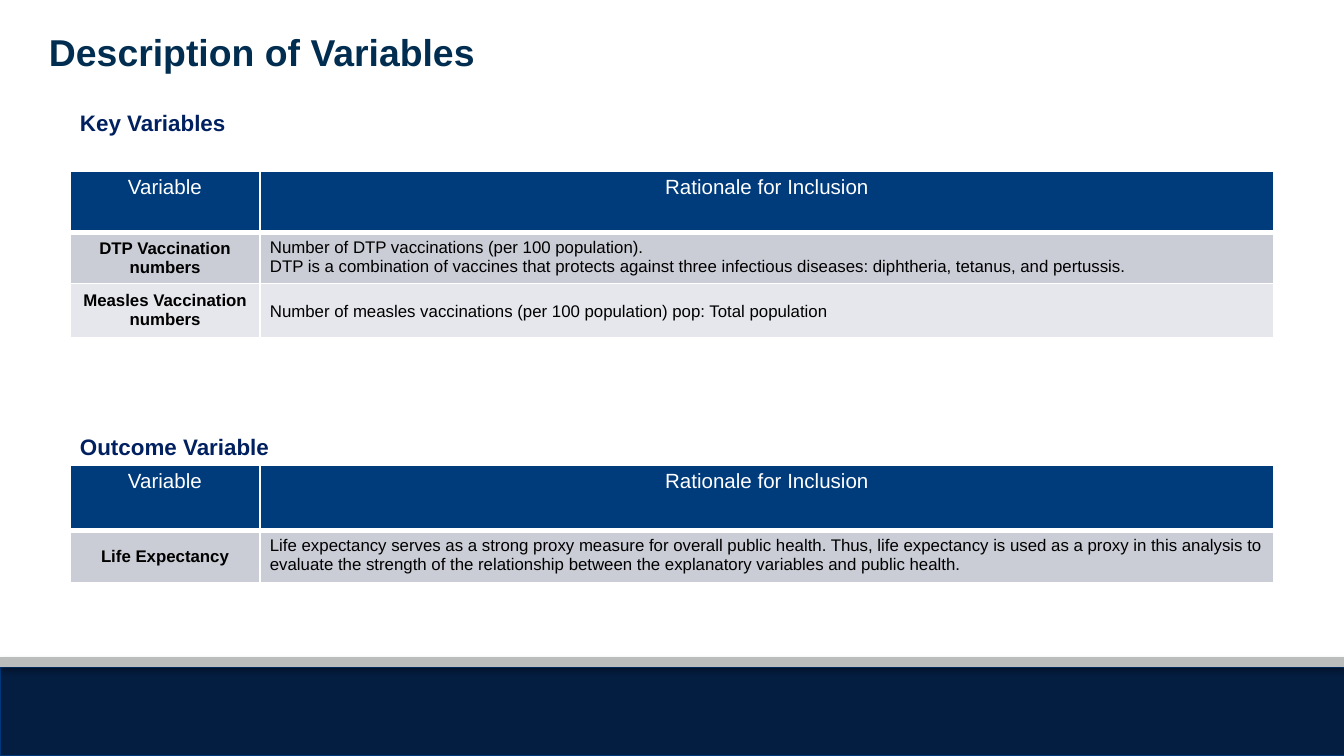
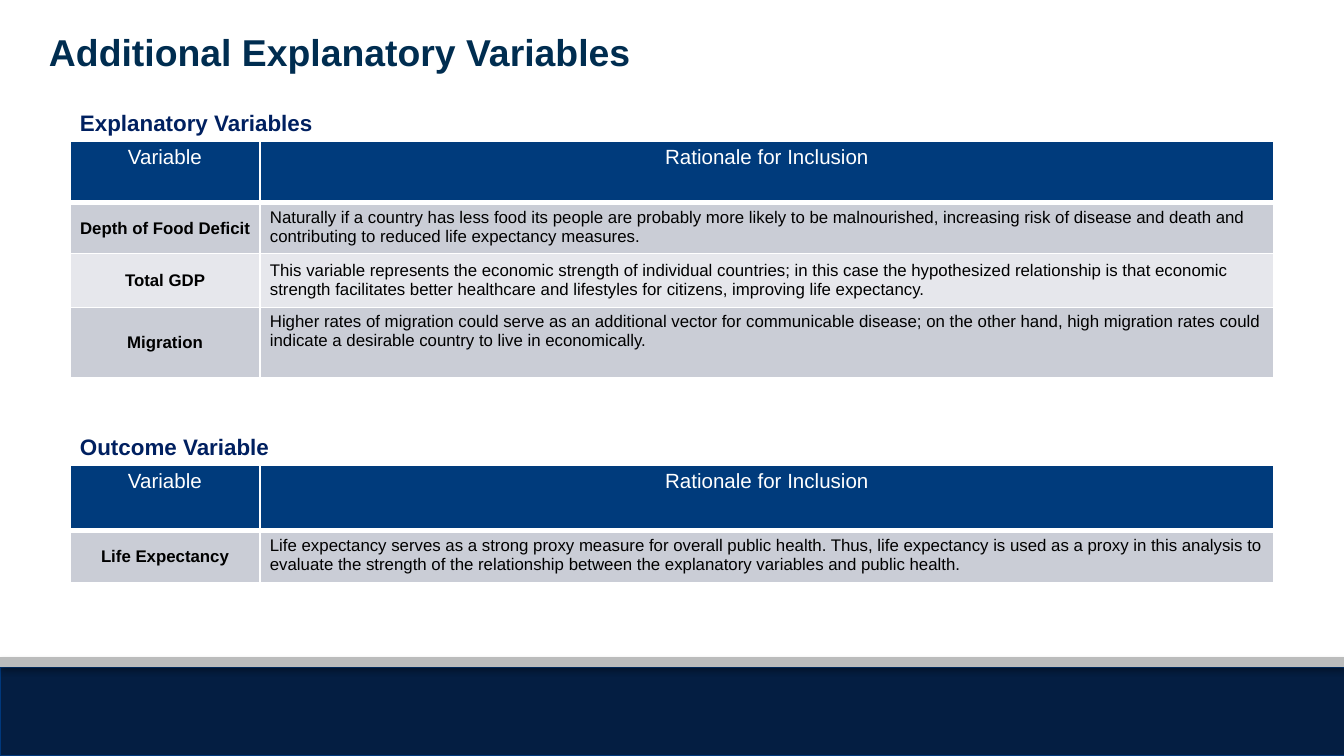
import lxml.etree
import pptx
import pptx.dml.color
import pptx.enum.shapes
import pptx.enum.text
import pptx.oxml.ns
import pptx.util

PX = 914400 / 134.4
COLORS = {
    "title": "002D50", "heading": "002060", "header": "003B7C",
    "row_dark": "CACDD6", "row_light": "E6E7EC", "footer": "041E42",
    "footer_edge": "00387C", "stripe": "BBBCBC", "white": "FFFFFF", "black": "000000",
}
ALIGN = pptx.enum.text.PP_ALIGN
ANCHOR = pptx.enum.text.MSO_ANCHOR
TITLE_FONT = {"name": "Arial", "size": pptx.util.Pt(20), "bold": True}
HEADING_FONT = {"name": "Arial", "size": pptx.util.Pt(12), "bold": True}
HEADER_FONT = {"name": "Arial", "size": pptx.util.Pt(11), "bold": False}
NAME_FONT = {"name": "Arial", "size": pptx.util.Pt(9), "bold": True}
RATIONALE_FONT = {**NAME_FONT, "bold": False}
TABLE_LEFT = 70
COLUMN_WIDTHS = [190, 1014]
HEADING_SIZE = (536, 36)

OUTCOME = {
    "heading": "Outcome Variable", "heading_top": 429, "table_top": 465,
    "heights": [66, 52],
    "rows": [("Life Expectancy", [
        "Life expectancy serves as a strong proxy measure for overall public health. "
        "Thus, life expectancy is used as a proxy in this analysis to evaluate the "
        "strength of the relationship between the explanatory variables and public health."], 1)],
}
KEY = {
    "heading": "Key Variables", "heading_top": 105, "table_top": 171,
    "heights": [62, 50, 54],
    "rows": [
        ("DTP Vaccination numbers", [
            "Number of DTP vaccinations (per 100 population).",
            "DTP is a combination of vaccines that protects against three infectious "
            "diseases: diphtheria, tetanus, and pertussis."], 1),
        ("Measles Vaccination numbers", [
            "Number of measles vaccinations (per 100 population) pop: Total population"], 1.15),
    ],
}
EXPLANATORY = {
    "heading": "Explanatory Variables", "heading_top": 105, "table_top": 141,
    "heights": [62, 50, 54, 70],
    "rows": [
        ("Depth of Food Deficit", [
            "Naturally if a country has less food its people are probably more likely to "
            "be malnourished, increasing risk of disease and death and contributing to "
            "reduced life expectancy measures."], 1),
        ("Total GDP", [
            "This variable represents the economic strength of individual countries; in "
            "this case the hypothesized relationship is that economic strength facilitates "
            "better healthcare and lifestyles for citizens, improving life expectancy."], 1),
        ("Migration", [
            "Higher rates of migration could serve as an additional vector for communicable "
            "disease; on the other hand, high migration rates could indicate a desirable "
            "country to live in economically."], 1),
    ],
}
SLIDES = [
    ("Description of Variables", [OUTCOME, KEY]),
    ("Additional Explanatory Variables", [OUTCOME, EXPLANATORY]),
]


def px(length):
    return pptx.util.Emu(round(length * PX))


def rgb(color):
    return pptx.dml.color.RGBColor.from_string(COLORS[color])


def apply(target, values):
    for key, value in values.items():
        setattr(target, key, value)


def add_xml(parent, tag, **attributes):
    return lxml.etree.SubElement(parent, pptx.oxml.ns.qn(tag), attributes)


def paint(fill, color):
    fill.solid()
    fill.fore_color.rgb = rgb(color)


def set_margins(target, side=10, top=5):
    apply(target, {"margin_left": px(side), "margin_right": px(side),
                   "margin_top": px(top), "margin_bottom": px(top)})


def write(frame, lines, font, color, align=ALIGN.LEFT, spacing=1):
    for index, line in enumerate(lines):
        paragraph = frame.add_paragraph() if index else frame.paragraphs[0]
        apply(paragraph, {"alignment": align, "line_spacing": spacing})
        run = paragraph.add_run()
        run.text = line
        apply(run.font, font)
        run.font.color.rgb = rgb(color)


def add_band(slide, layout, box, color, edge=None):
    band = slide.shapes.add_shape(
        pptx.enum.shapes.MSO_SHAPE.RECTANGLE, *map(px, box))
    paint(band.fill, color)
    if edge:
        paint(band.line.fill, edge)
        band.line.width = pptx.util.Pt(0.75)
    else:
        band.line.fill.background()
    band.shadow.inherit = False
    effects = band.element.spPr.find(pptx.oxml.ns.qn("a:effectLst"))
    shadow = add_xml(effects, "a:outerShdw", blurRad="40000", dist="23000",
                     dir="5400000", rotWithShape="0")
    tint = add_xml(shadow, "a:srgbClr", val=COLORS["black"])
    add_xml(tint, "a:alpha", val="33000")
    layout.shapes.element.append(band.element)


def set_title(slide, text):
    title = slide.shapes.title
    apply(title, {"left": px(39), "top": px(24), "width": px(1210), "height": px(87)})
    frame = title.text_frame
    apply(frame, {"word_wrap": True, "vertical_anchor": ANCHOR.TOP,
                  "auto_size": pptx.enum.text.MSO_AUTO_SIZE.NONE})
    set_margins(frame)
    write(frame, [text], TITLE_FONT, "title")


def add_heading(slide, text, top):
    frame = slide.shapes.add_textbox(
        px(TABLE_LEFT), px(top), *map(px, HEADING_SIZE)).text_frame
    apply(frame, {"word_wrap": True, "vertical_anchor": ANCHOR.MIDDLE})
    set_margins(frame)
    write(frame, [text], HEADING_FONT, "heading")


def fill_cell(cell, lines, font, color, fill, align, anchor, spacing=1, bottom=1):
    set_margins(cell)
    cell.vertical_anchor = anchor
    write(cell.text_frame, lines, font, color, align, spacing)
    properties = cell._tc.get_or_add_tcPr()
    for side, points in {"L": 1, "R": 1, "T": 1, "B": bottom}.items():
        border = add_xml(properties, f"a:ln{side}", w=str(pptx.util.Pt(points)))
        add_xml(add_xml(border, "a:solidFill"), "a:srgbClr", val=COLORS["white"])
    paint(cell.fill, fill)


def add_variable_table(slide, section):
    heights = section["heights"]
    table = slide.shapes.add_table(
        len(heights), len(COLUMN_WIDTHS), px(TABLE_LEFT), px(section["table_top"]),
        px(sum(COLUMN_WIDTHS)), px(sum(heights))).table
    for column, width in zip(table.columns, COLUMN_WIDTHS):
        column.width = px(width)
    for row, height in zip(table.rows, heights):
        row.height = px(height)
    for column, label in enumerate(["Variable", "Rationale for Inclusion"]):
        fill_cell(table.cell(0, column), [label], HEADER_FONT, "white", "header",
                  ALIGN.CENTER, ANCHOR.TOP, bottom=3)
    for row, (name, rationale, spacing) in enumerate(section["rows"], 1):
        fill, anchor = (("row_dark", ANCHOR.TOP) if row % 2
                        else ("row_light", ANCHOR.MIDDLE))
        fill_cell(table.cell(row, 0), [name], NAME_FONT, "black", fill,
                  ALIGN.CENTER, ANCHOR.MIDDLE)
        fill_cell(table.cell(row, 1), rationale, RATIONALE_FONT, "black", fill,
                  ALIGN.LEFT, anchor, spacing)


def main():
    deck = pptx.Presentation()
    apply(deck, {"slide_width": px(1344), "slide_height": px(756)})
    layout = deck.slide_layouts.get_by_name("Title Only")
    for placeholder in list(layout.placeholders)[1:]:
        layout.shapes.element.remove(placeholder.element)
    for number, (title, sections) in enumerate(SLIDES):
        slide = deck.slides.add_slide(layout)
        if number == 0:
            add_band(slide, layout, (0, 667, 1347, 89), "footer", "footer_edge")
            add_band(slide, layout, (0, 657, 1344, 10), "stripe")
        set_title(slide, title)
        for section in sections:
            add_variable_table(slide, section)
            add_heading(slide, section["heading"], section["heading_top"])
    deck.save("out.pptx")


if __name__ == "__main__":
    main()
